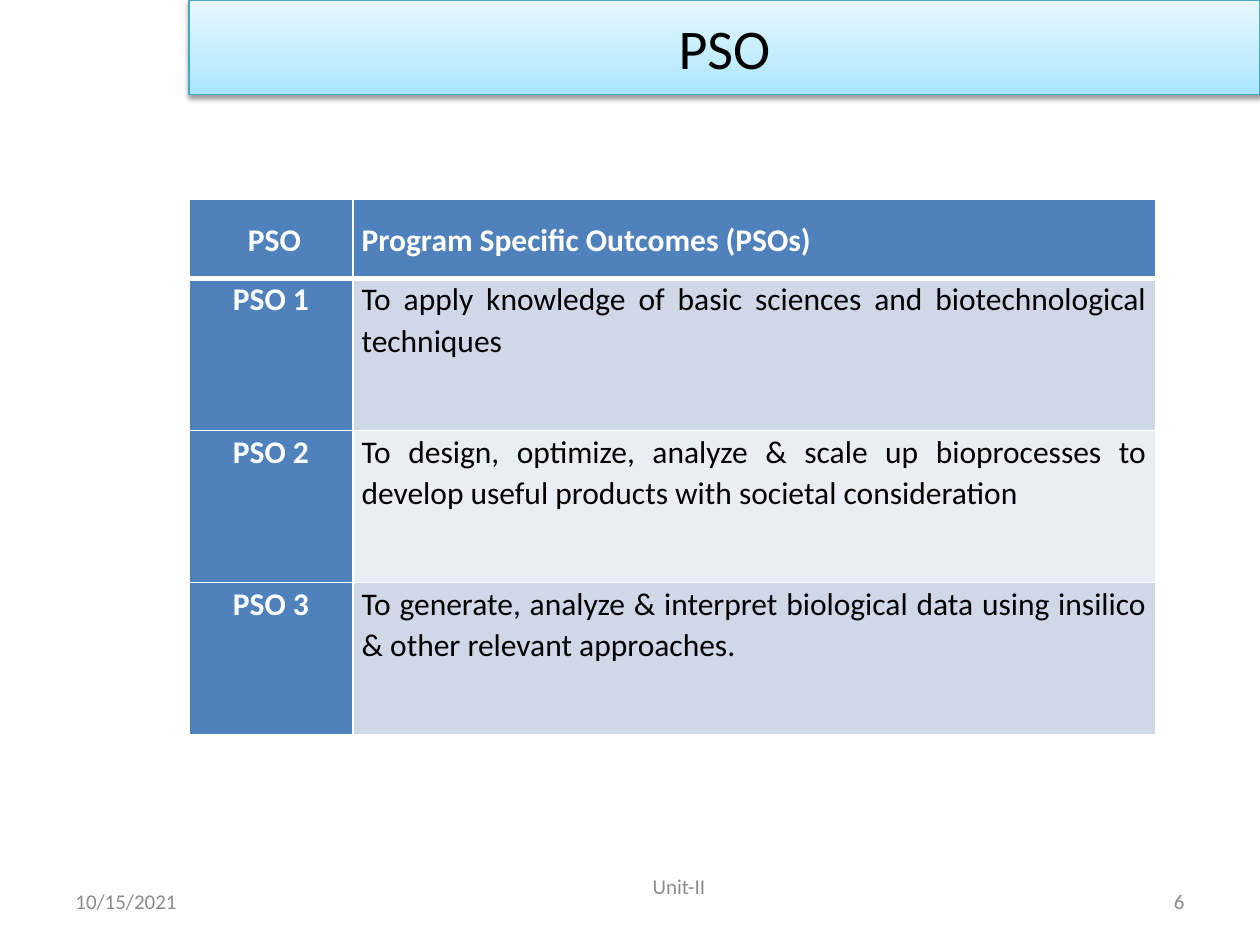
from lxml import etree
from pptx import Presentation
from pptx.dml.color import RGBColor
from pptx.enum import shapes, text
from pptx.oxml import ns
from pptx.util import Pt

ALIGN = text.PP_ALIGN
MIDDLE, TOP = text.MSO_ANCHOR.MIDDLE, text.MSO_ANCHOR.TOP


def color(value):
    return RGBColor.from_string(value)


def add_node(parent, tag, **attributes):
    node = etree.SubElement(parent, ns.qn(tag))
    for name, value in attributes.items():
        node.set(name, str(value))
    return node


class SlideBuilder:
    """Holds the slide style and the current page."""

    font = "Calibri"
    blue = "4F81BD"
    bands = ("D0D8E8", "E9EDF4")
    gray = "8C8C8C"

    def __init__(self, page):
        self.page = page

    def set_text(self, frame, words, size, ink, align, bold=False, spacing=None):
        frame.text = words
        para = frame.paragraphs[0]
        para.alignment = align
        if spacing:
            para.line_spacing = spacing
        font = para.runs[0].font
        font.name, font.size, font.bold = self.font, Pt(size), bold
        font.color.rgb = color(ink)

    def footer(self, words, left, top, width, align):
        box = self.page.shapes.add_textbox(Pt(left), Pt(top), Pt(width), Pt(28.8))
        frame = box.text_frame
        frame.word_wrap = True
        frame.vertical_anchor = MIDDLE
        self.set_text(frame, words, 12, self.gray, align)

    def banner(self, words, left, top, width, height, stops):
        box = self.page.shapes.add_shape(
            shapes.MSO_SHAPE.RECTANGLE, Pt(left), Pt(top), Pt(width), Pt(height))
        box.line.color.rgb = color("46AAC5")
        box.line.width = Pt(0.75)
        box.fill.gradient()
        box.fill.gradient_angle = 90
        stop_list = box.element.spPr.find(".//" + ns.qn("a:gsLst"))
        for old_stop in list(stop_list):
            stop_list.remove(old_stop)
        for percent, value in stops:
            stop = add_node(stop_list, "a:gs", pos=percent * 1000)
            add_node(stop, "a:srgbClr", val=value)
        box.shadow.inherit = False
        effects = box.element.spPr.find(ns.qn("a:effectLst"))
        shadow = add_node(effects, "a:outerShdw", blurRad=Pt(3.1), dist=Pt(1.6),
                          dir=5400000, rotWithShape=0)
        add_node(add_node(shadow, "a:srgbClr", val="000000"), "a:alpha", val=38000)
        box.text_frame.vertical_anchor = MIDDLE
        self.set_text(box.text_frame, words, 32, "000000", ALIGN.CENTER)

    def borders(self, cell, **widths):
        """Draw white cell borders; widths are keyed L, R, T, B in that order."""
        properties = cell._tc.get_or_add_tcPr()
        for index, (side, width) in enumerate(widths.items()):
            line = add_node(properties, "a:ln" + side, w=Pt(width))
            add_node(add_node(line, "a:solidFill"), "a:srgbClr", val="FFFFFF")
            properties.insert(index, line)

    def cell(self, cell, words, row, column):
        header, label = row == 0, column == 0
        strong = header or label
        cell.margin_left = cell.margin_right = Pt(5.04)
        cell.margin_top = cell.margin_bottom = 0
        cell.vertical_anchor = MIDDLE if header else TOP
        cell.fill.solid()
        cell.fill.fore_color.rgb = color(self.blue if strong else self.bands[(row - 1) % 2])
        align = ALIGN.CENTER if label else ALIGN.LEFT if header else ALIGN.JUSTIFY
        self.set_text(cell.text_frame, words, 18, "FFFFFF" if strong else "000000",
                      align, bold=strong, spacing=1.07)
        self.borders(cell, L=1, R=1, T=3 if row == 1 else 1, B=3 if header else 1)

    def table(self, rows, left, top, widths, heights):
        table = self.page.shapes.add_table(
            len(rows), len(widths), Pt(left), Pt(top),
            Pt(sum(widths)), Pt(sum(heights))).table
        for column, width in zip(table.columns, widths):
            column.width = Pt(width)
        for row, height in zip(table.rows, heights):
            row.height = Pt(height)
        for r, row in enumerate(rows):
            for c, words in enumerate(row):
                self.cell(table.cell(r, c), words, r, c)


def main():
    deck = Presentation()
    deck.slide_width, deck.slide_height = Pt(720), Pt(540)
    builder = SlideBuilder(deck.slides.add_slide(deck.slide_layouts[6]))
    builder.footer("10/15/2021", 36, 500.5, 168, ALIGN.LEFT)
    builder.footer("6", 516, 500.5, 168, ALIGN.RIGHT)
    builder.banner("PSO", 108, 0, 612, 54,
                   [(0, "A7E6FF"), (35, "C1EDFF"), (100, "E7F8FF")])
    outcomes = [
        (" PSO", "Program Specific Outcomes (PSOs)"),
        ("PSO 1", "To apply knowledge of basic sciences and biotechnological techniques"),
        ("PSO 2", "To design, optimize, analyze & scale up bioprocesses to develop "
                  "useful products with societal consideration"),
        ("PSO 3", "To generate, analyze & interpret biological data using insilico "
                  "& other relevant approaches."),
    ]
    builder.table(outcomes, 108, 114, [93.6, 458.6], [45] + [87] * 3)
    builder.footer("Unit-II", 190, 492, 396, ALIGN.CENTER)
    deck.save("out.pptx")


if __name__ == "__main__":
    main()
